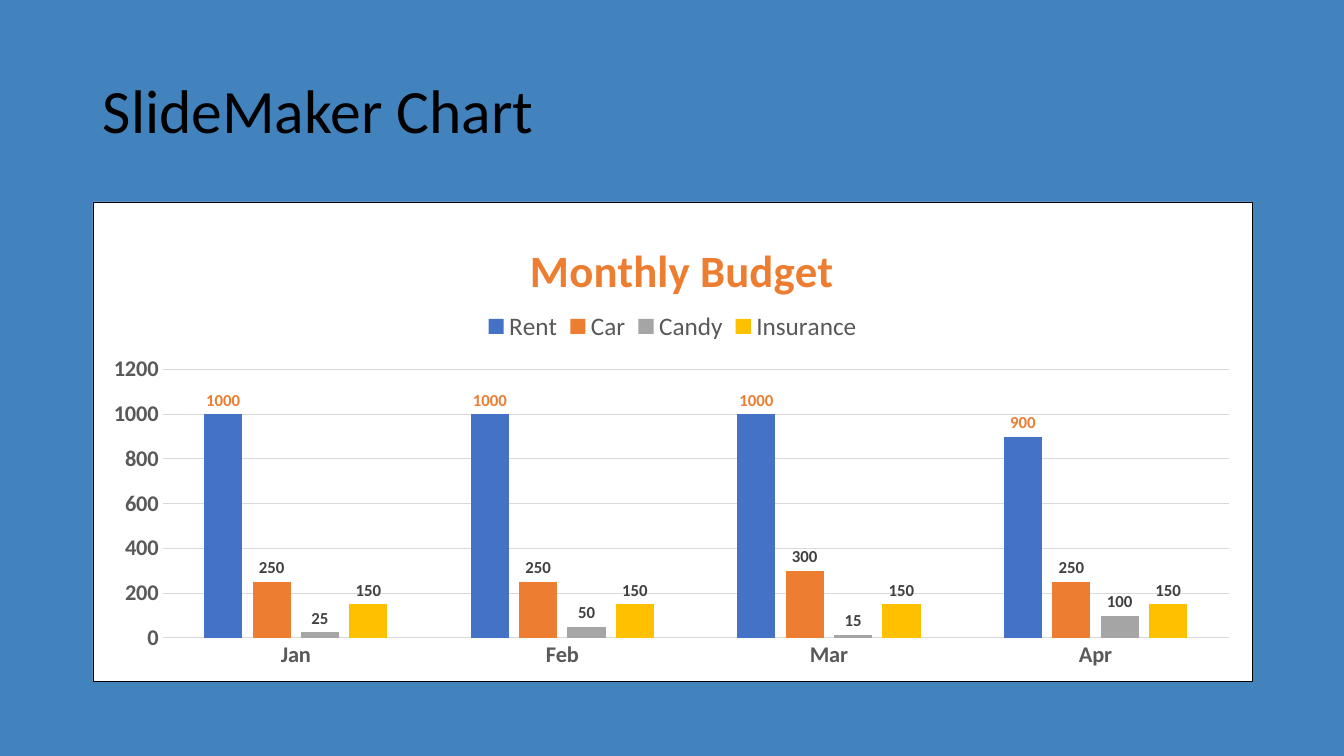
"""Build a slide with a clustered column chart of a monthly budget."""
from pptx import Presentation
from pptx.chart.data import CategoryChartData
from pptx.dml.color import RGBColor
from pptx.enum import chart as ce, text
from pptx.oxml import parse_xml
from pptx.oxml.ns import nsdecls, qn
from pptx.util import Inches, Pt

COLORS = {
    "background": "4383BD", "black": "000000", "white": "FFFFFF",
    "grid": "D9D9D9", "axis": "595959", "label": "404040",
    "Rent": "4472C4", "Car": "ED7D31", "Candy": "A5A5A5", "Insurance": "FFC000",
}
BUDGET = {
    "Rent": (1000, 1000, 1000, 900),
    "Car": (250, 250, 300, 250),
    "Candy": (25, 50, 15, 100),
    "Insurance": (150, 150, 150, 150),
}


def style(font, size, color, bold=False):
    """Set the face, size, colour and weight of a font."""
    font.name, font.size, font.bold = "Calibri", Pt(size), bold
    font.color.rgb = RGBColor.from_string(COLORS[color])


def place(element, index, **fractions):
    """Give a chart part a fixed place, in fractions of the chart."""
    for old in element.findall(qn("c:layout")):
        element.remove(old)
    target = '<c:layoutTarget val="inner"/>' if element.tag == qn("c:plotArea") else ""
    modes = '<c:xMode val="edge"/><c:yMode val="edge"/>'
    values = "".join(f'<c:{key} val="{value}"/>' for key, value in fractions.items())
    element.insert(index, parse_xml(
        f'<c:layout {nsdecls("c")}><c:manualLayout>{target}{modes}{values}'
        "</c:manualLayout></c:layout>"))


prs = Presentation()
prs.slide_width, prs.slide_height = Inches(13.33), Inches(7.5)
s = prs.slides.add_slide(prs.slide_layouts[5])
s.background.fill.solid()
s.background.fill.fore_color.rgb = RGBColor.from_string(COLORS["background"])

title = s.shapes.title
title.left, title.top = Inches(0.92), Inches(0.4)
title.width, title.height = Inches(11.5), Inches(1.45)
tf = title.text_frame
tf.text = "SlideMaker Chart"
tf.vertical_anchor = text.MSO_ANCHOR.MIDDLE
p = tf.paragraphs[0]
p.alignment = text.PP_ALIGN.LEFT
p.line_spacing = 0.9
style(p.runs[0].font, 44, "black")

data = CategoryChartData()
data.categories = ["Jan", "Feb", "Mar", "Apr"]
for name, amounts in BUDGET.items():
    data.add_series(name, amounts)
chart = s.shapes.add_chart(
    ce.XL_CHART_TYPE.COLUMN_CLUSTERED,
    Inches(0.92), Inches(2), Inches(11.5), Inches(4.76), data).chart
style(chart.font, 10, "black")

chart.has_title = True
tf = chart.chart_title.text_frame
tf.text = "Monthly Budget"
style(tf.paragraphs[0].runs[0].font, 32, "Car", bold=True)

chart.has_legend = True
chart.legend.position = ce.XL_LEGEND_POSITION.TOP
chart.legend.include_in_layout = False
style(chart.legend.font, 18, "axis")

for axis in (chart.category_axis, chart.value_axis):
    axis.major_tick_mark = axis.minor_tick_mark = ce.XL_TICK_MARK.NONE
    style(axis.tick_labels.font, 16, "axis", bold=True)
value_axis = chart.value_axis
value_axis.minimum_scale, value_axis.maximum_scale = 0, 1200
value_axis.major_unit = 200
value_axis.format.line.fill.background()
for line in (chart.category_axis.format.line, value_axis.major_gridlines.format.line):
    line.color.rgb = RGBColor.from_string(COLORS["grid"])
    line.width = Pt(0.75)

plot = chart.plots[0]
plot.gap_width, plot.overlap = 219, -27
plot.vary_by_categories = False
for series in plot.series:
    series.format.fill.solid()
    series.format.fill.fore_color.rgb = RGBColor.from_string(COLORS[series.name])
    labels = series.data_labels
    labels.show_value = True
    labels.position = ce.XL_LABEL_POSITION.OUTSIDE_END
    style(labels.font, 12, "Car" if series.name == "Rent" else "label", bold=True)

body = chart.element.find(qn("c:chart"))
body.addnext(parse_xml(
    f'<c:spPr {nsdecls("c", "a")}>'
    f'<a:solidFill><a:srgbClr val="{COLORS["white"]}"/></a:solidFill>'
    f'<a:ln w="{Pt(0.25)}"><a:solidFill><a:srgbClr val="{COLORS["black"]}"/>'
    "</a:solidFill></a:ln></c:spPr>"))
place(body.find(qn("c:title")), 1, x=0.37, y=0.06)
place(body.find(qn("c:legend")), 1, x=0.33, y=0.22, w=0.34, h=0.08)
place(body.find(qn("c:plotArea")), 0, x=0.06, y=0.35, w=0.92, h=0.56)

prs.save("out.pptx")
